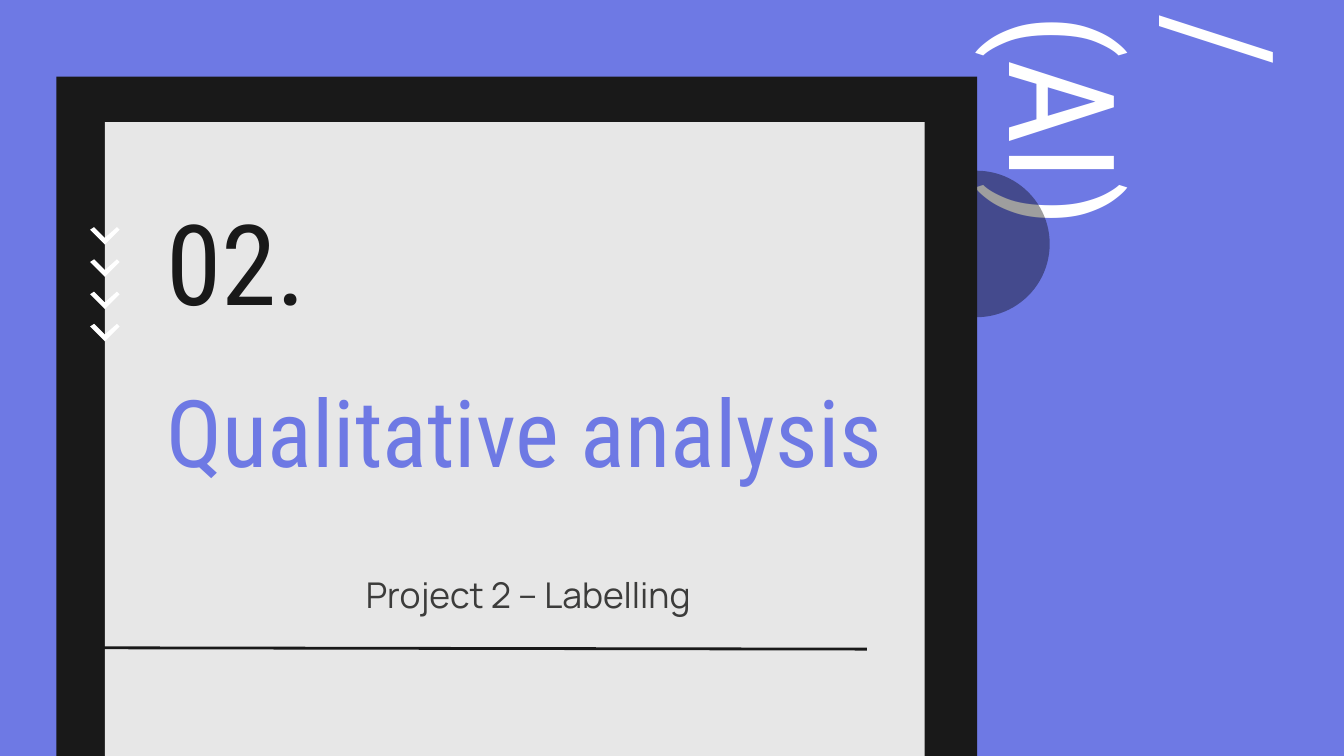
import pptx
import pptx.util
import pptx.dml.color
import pptx.enum.shapes
import pptx.enum.text
import pptx.oxml.ns
import lxml.etree

Inches, Pt = pptx.util.Inches, pptx.util.Pt
RGB = pptx.dml.color.RGBColor
Kind = pptx.enum.shapes.MSO_SHAPE
Anchor = pptx.enum.text.MSO_ANCHOR
Align = pptx.enum.text.PP_ALIGN
qn = pptx.oxml.ns.qn

BLUE = RGB(0x6E, 0x79, 0xE4)
DARK = RGB(0x19, 0x19, 0x19)
PALE = RGB(0xE7, 0xE7, 0xE7)
GREY = RGB(0x3C, 0x3C, 0x3B)
BLACK = RGB(0, 0, 0)
WHITE = RGB(255, 255, 255)

HEAD = "Roboto Condensed"
BODY = "Manrope"
WIDE = 10
HIGH = WIDE * 9 / 16

SIDE = {
    "text": "/(AI)", "box": (8.15, 0.34, 1.93, 1.25), "color": WHITE, "turn": 90,
    "font": {"name": HEAD, "size": Pt(79)},
    "frame": {"vertical_anchor": Anchor.TOP},
    "para": {"line_spacing": 0.9},
}
TEXTS = [
    {
        "text": "Qualitative analysis", "box": (1.14, 2.4, 5.58, 1.6), "color": BLUE,
        "font": {"name": HEAD, "size": Pt(50)},
    },
    {
        "text": "02.", "box": (1.14, 1.48, 2.06, 0.92), "color": DARK,
        "font": {"name": HEAD, "size": Pt(60)},
    },
    {
        "text": "Project 2 – Labelling", "box": (1.14, 4.03, 5.58, 0.78), "color": GREY,
        "font": {"name": BODY, "size": Pt(19)},
        "para": {"alignment": Align.CENTER},
    },
]
SHAPES = [
    (Kind.OVAL, (6.72, 1.27, 1.09, 1.09), BLACK, 38),
    (Kind.RECTANGLE, (0.42, 0.57, 6.85, HIGH - 0.57), DARK, 100),
    (Kind.RECTANGLE, (0.78, 0.91, 6.1, HIGH - 0.91), PALE, 100),
]
CHEVRON = [(0.67, 0.02), (0.78, 0.13), (0.89, 0.02), (0.87, 0), (0.78, 0.08), (0.7, 0)]
TOP, STEP, COUNT = 1.69, 0.24, 4
RULE = (0.5, 4.82, 6.45, 4.83)
FRAME = {
    "word_wrap": True, "vertical_anchor": Anchor.MIDDLE,
    "margin_left": Inches(0.1), "margin_right": Inches(0.1),
    "margin_top": Inches(0.1), "margin_bottom": Inches(0.1),
}


def apply(item, values):
    for key, value in values.items():
        setattr(item, key, value)


def paint(shape, color, alpha=100):
    shape.shadow.inherit = False
    shape.fill.solid()
    shape.fill.fore_color.rgb = color
    shape.line.fill.background()
    if alpha < 100:
        tone = shape.fill._xPr.find(".//" + qn("a:srgbClr"))
        lxml.etree.SubElement(tone, qn("a:alpha")).set("val", str(alpha * 1000))


def write(slide, item):
    box = slide.shapes.add_textbox(*map(Inches, item["box"]))
    box.rotation = item.get("turn", 0)
    frame = box.text_frame
    apply(frame, FRAME | item.get("frame", {}))
    para = frame.paragraphs[0]
    apply(para, item.get("para", {}))
    run = para.add_run()
    run.text = item["text"]
    apply(run.font, item["font"])
    run.font.color.rgb = item["color"]


def main():
    deck = pptx.Presentation()
    apply(deck, {"slide_width": Inches(WIDE), "slide_height": Inches(HIGH)})
    slide = deck.slides.add_slide(deck.slide_layouts[6])
    slide.background.fill.solid()
    slide.background.fill.fore_color.rgb = BLUE

    write(slide, SIDE)
    for kind, box, color, alpha in SHAPES:
        paint(slide.shapes.add_shape(kind, *map(Inches, box)), color, alpha)
    for item in TEXTS:
        write(slide, item)

    for row in range(COUNT):
        pts = [(Inches(x), Inches(TOP + row * STEP + y)) for x, y in CHEVRON]
        build = slide.shapes.build_freeform(*pts[0])
        build.add_line_segments(pts[1:], close=True)
        paint(build.convert_to_shape(), WHITE)

    rule = slide.shapes.add_connector(
        pptx.enum.shapes.MSO_CONNECTOR.STRAIGHT, *map(Inches, RULE))
    rule.line.color.rgb = DARK
    rule.line.width = Pt(1.5)
    lxml.etree.SubElement(rule._element.spPr, qn("a:effectLst"))

    deck.save("out.pptx")


if __name__ == "__main__":
    main()
